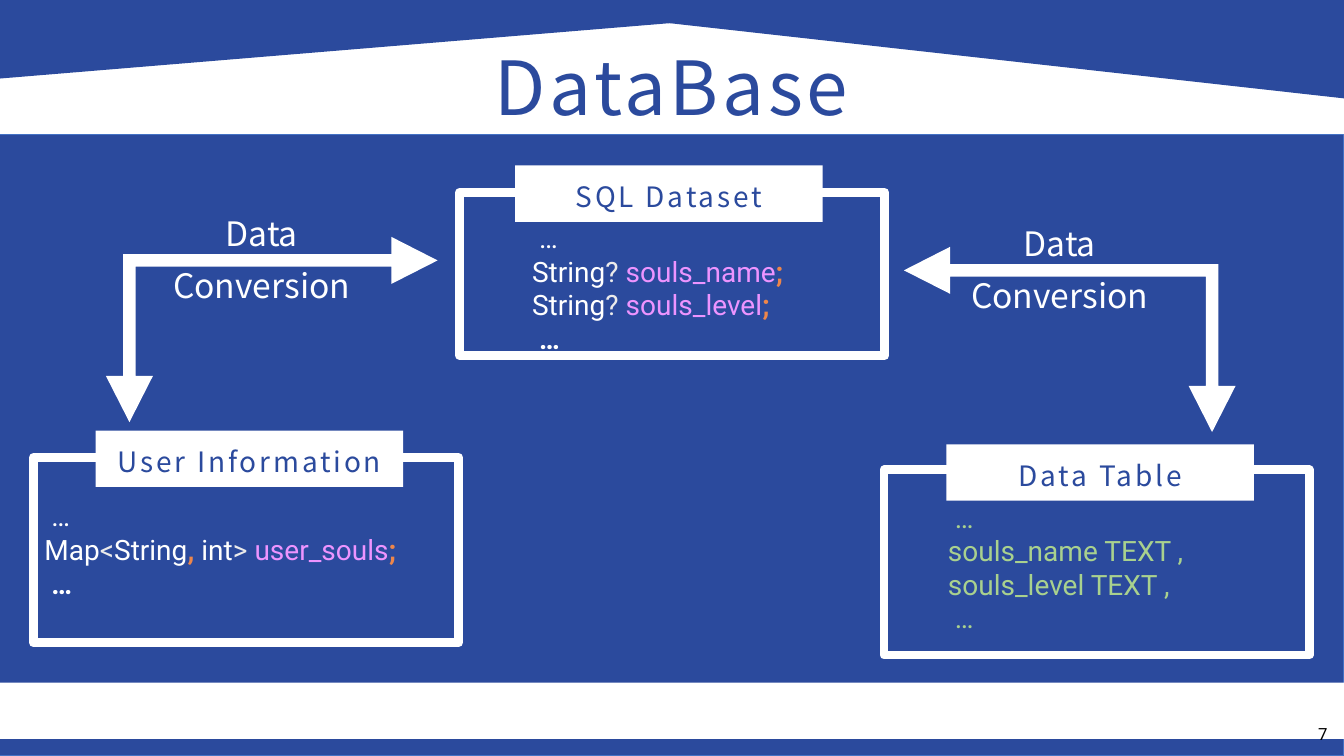
"""Build the DataBase slide with its three linked code panels."""
from pptx import Presentation
from pptx.dml.color import RGBColor
from pptx.enum.shapes import MSO_SHAPE
from pptx.enum.text import MSO_ANCHOR, MSO_AUTO_SIZE, PP_ALIGN
from pptx.oxml.ns import qn
from pptx.util import Cm, Pt

WIDTH, HEIGHT = 33.87, 19.05
WHITE, BLUE, EDGE, BLACK = "FFFFFF", "2B4A9D", "4472C4", "000000"
PALE, PINK, ORANGE, GREEN = "EBEBEB", "ED94FF", "ED864A", "A9D18E"
HEADING_FONT, CODE_FONT = "Noto Sans CJK KR", "Roboto"


def color(value):
    return RGBColor.from_string(value)


class DiagramPage:
    """Holds the slide style and draws each kind of element."""

    def __init__(self, deck):
        self.page = deck.slides.add_slide(deck.slide_layouts[5])

    def style(self, span, size, font, tint, bold=False, spacing=0):
        span.font.size = Pt(size)
        span.font.name = font
        span.font.bold = bold
        span.font.color.rgb = color(tint)
        if spacing:
            span.font._element.set("spc", str(round(spacing * 100)))

    def frame_text(self, shape, anchor=MSO_ANCHOR.TOP, inset=True):
        frame = shape.text_frame
        frame.word_wrap = True
        frame.auto_size = MSO_AUTO_SIZE.NONE
        frame.vertical_anchor = anchor
        if not inset:
            frame.margin_left = frame.margin_right = 0
            frame.margin_top = frame.margin_bottom = 0
        return frame

    def heading(self, shape, text, size, leading, spacing, anchor):
        frame = self.frame_text(shape, anchor, inset=False)
        frame.text = text
        para = frame.paragraphs[0]
        para.alignment = PP_ALIGN.CENTER
        para.line_spacing = Pt(leading)
        self.style(para.runs[0], size, HEADING_FONT, BLUE, spacing=spacing)

    def title(self, text, left, top, width, height):
        shape = self.page.shapes.title
        shape.left, shape.top = Cm(left), Cm(top)
        shape.width, shape.height = Cm(width), Cm(height)
        self.heading(shape, text, 53.3, 56, 2.7, MSO_ANCHOR.TOP)

    def paint(self, shape, fill=None, line=None, weight=0.75):
        shape.shadow.inherit = False
        if fill:
            shape.fill.solid()
            shape.fill.fore_color.rgb = color(fill)
        else:
            shape.fill.background()
        if line:
            shape.line.color.rgb = color(line)
            shape.line.width = Pt(weight)
        else:
            shape.line.fill.background()
        return shape

    def block(self, left, top, width, height, kind=MSO_SHAPE.RECTANGLE, **look):
        shape = self.page.shapes.add_shape(
            kind, Cm(left), Cm(top), Cm(width), Cm(height))
        return self.paint(shape, **look)

    def polygon(self, points, fill):
        start, *others = [(Cm(x), Cm(y)) for x, y in points]
        builder = self.page.shapes.build_freeform(*start, scale=1.0)
        builder.add_line_segments(others, close=True)
        self.paint(builder.convert_to_shape(), fill)

    def text_box(self, left, top, width, height, **layout):
        box = self.page.shapes.add_textbox(
            Cm(left), Cm(top), Cm(width), Cm(height))
        return self.frame_text(box, **layout)

    def code(self, left, top, width, height, lines):
        frame = self.text_box(left, top, width, height, inset=False)
        for index, line in enumerate(lines):
            para = frame.add_paragraph() if index else frame.paragraphs[0]
            for text, tint, *bold in line:
                span = para.add_run()
                span.text = text
                self.style(span, 20, CODE_FONT, tint, bool(bold))

    def panel(self, name, outline, tab, code_area, lines):
        self.block(*outline, line=WHITE, weight=6.25)
        label = self.block(*tab, 7.75, 1.42, fill=WHITE)
        self.heading(label, name, 20, 28, 2, MSO_ANCHOR.MIDDLE)
        self.code(*code_area, lines)

    def conversion(self, left, top, flips):
        arrow = self.block(left, top, 8.36, 4.67, MSO_SHAPE.LEFT_UP_ARROW, fill=WHITE)
        for index, value in enumerate((0.068, 0.127, 0.25)):
            arrow.adjustments[index] = value
        transform = arrow._element.spPr.find(qn("a:xfrm"))
        for flip in flips:
            transform.set(flip, "1")
        frame = self.text_box(left + 1.32, top - 0.74, 5.21, 2.57)
        frame.text = "Data\nConversion"
        for para in frame.paragraphs:
            para.alignment = PP_ALIGN.CENTER
            self.style(para.runs[0], 24, HEADING_FONT, WHITE)
        frame.paragraphs[1].space_before = Pt(8.7)

    def number(self, text):
        frame = self.text_box(29.62, 18.06, 4.09, 0.84, anchor=MSO_ANCHOR.MIDDLE)
        frame.text = text
        para = frame.paragraphs[0]
        para.alignment = PP_ALIGN.RIGHT
        self.style(para.runs[0], 12, CODE_FONT, BLACK)


def field(name):
    return [("String", WHITE), ("? ", PALE), (name, PINK), (";", ORANGE, True)]


def main():
    deck = Presentation()
    deck.slide_width, deck.slide_height = Cm(WIDTH), Cm(HEIGHT)
    diagram = DiagramPage(deck)

    diagram.block(0, 3.4, WIDTH, HEIGHT - 3.4, fill=BLUE, line=EDGE)
    diagram.polygon([(11.63, 0), (WIDTH, 0), (WIDTH, 2.48)], BLUE)
    diagram.polygon([(0, 0), (23.95, 0), (0, 1.98)], BLUE)
    diagram.block(0, 17.2, WIDTH, 1.42, fill=WHITE)
    diagram.title("DataBase", 2.74, 1.3, 28.37, 2)

    opening, closing = [(" …", WHITE)], [(" …", WHITE, True)]
    user_map = [("Map", WHITE), ("<", PALE), ("String", WHITE),
                (", ", ORANGE, True), ("int", WHITE), ("> ", PALE),
                ("user_souls", PINK), (";", ORANGE, True)]
    columns = ["     …", "    souls_name TEXT ,", "    souls_level TEXT ,", "     …"]

    diagram.panel("User Information", (0.84, 11.53, 10.72, 4.67), (2.41, 10.85),
                  (1.12, 12.57, 11.2, 2.57), [opening, user_map, closing])
    diagram.panel("SQL Dataset", (11.58, 4.85, 10.72, 4.11), (12.98, 4.17),
                  (13.41, 5.56, 9.19, 3.43),
                  [opening, field("souls_name"), field("souls_level"), closing])
    diagram.panel("Data Table", (22.28, 11.84, 10.72, 4.67), (23.85, 11.2),
                  (23.19, 12.6, 9.27, 3.43), [[(text, GREEN)] for text in columns])

    diagram.conversion(2.67, 5.97, ("flipH", "flipV"))
    diagram.conversion(22.78, 6.22, ("flipV",))
    diagram.number("7")
    deck.save("out.pptx")


if __name__ == "__main__":
    main()
